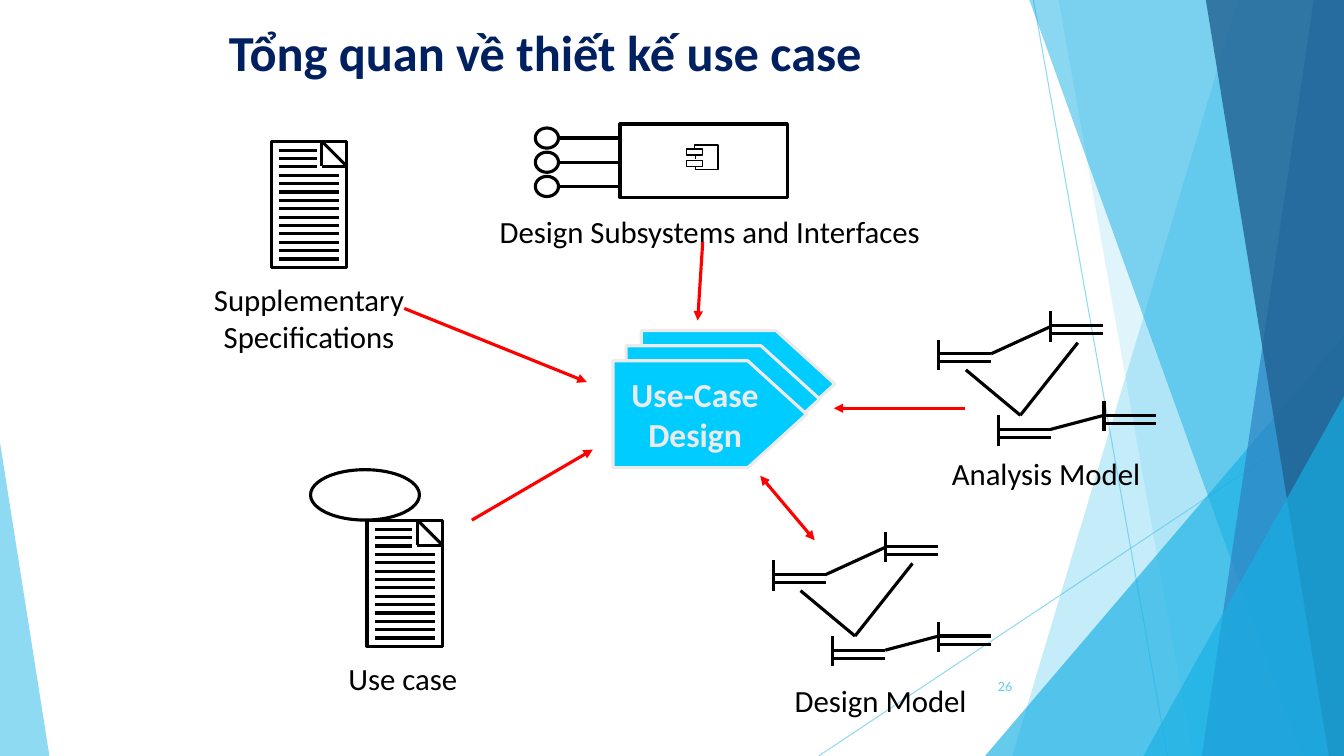
from lxml import etree
from pptx import Presentation
from pptx.dml.color import RGBColor
from pptx.enum.shapes import MSO_CONNECTOR, MSO_SHAPE
from pptx.enum.text import MSO_ANCHOR, PP_ALIGN
from pptx.oxml.ns import qn
from pptx.util import Inches, Pt

TITLE = "Tổng quan về thiết kế use case"
PAGE_NUMBER = "26"
BLACK, RED, SKY, CYAN, SILVER = "000000", "FF0000", "5FCBEF", "00CCFF", "EBEBEB"

# Backdrop: rays (from, to); facets (colour, opacity, corners);
# wedges (box, apex position, colour, opacity)
RAYS = [((10.25, 0), (11.58, 7.5)), ((13.33, 4.03), (8.12, 7.5))]
FACETS_BELOW = [
    (SKY, 36, [(12.28, 0), (13.33, 0), (13.33, 7.5), (10.04, 7.5)]),
    (SKY, 20, [(10.5, 0), (13.33, 0), (13.33, 7.5), (11.83, 7.5)]),
]
LARGE_WEDGE = ((9.77, 3.33, 3.56, 4.17), 1, "17B0E4", 66)
FACETS_ABOVE = [
    ("17B0E4", 50, [(10.21, 0), (13.33, 0), (13.33, 7.5), (12.91, 7.5)]),
    ("2E83C3", 70, [(13.03, 0), (13.33, 0), (13.33, 7.5), (11.92, 7.5)]),
    ("226292", 80, [(11.96, 0), (13.33, 0), (13.33, 7.5), (13.18, 7.5)]),
]
SMALL_WEDGES = [
    ((11.34, 3.93, 1.99, 3.57), 1, "17B0E4", 66),
    ((0, 4.39, 0.49, 3.11), 0, SKY, 70),
]

DOCUMENTS = [(2.69, 1.4), (3.64, 5.16)]
MODELS = [(7.67, 5.28), (9.31, 3.09)]
MODEL_CLASSES = [(0, 0.28), (1.11, 0), (0.59, 1.03), (1.64, 0.89)]
MODEL_LINKS = [
    ((0.81, 1.03), (0.27, 0.58)),
    ((0.52, 0.42), (1.11, 0.15)),
    ((1.11, 1.17), (1.64, 1.03)),
    ((0.81, 1.03), (1.38, 0.31)),
]
DESIGN_STEPS = [(6.36, 3.28), (6.21, 3.43), (6.08, 3.58)]
DESIGN_LABEL = "Use-Case\nDesign"
LABELS = [
    ("Supplementary\nSpecifications", (2.01, 2.74, 2.11, 0.84)),
    ("Design Subsystems and Interfaces", (4.83, 2.06, 4.42, 0.47)),
    ("Use case", (2.99, 6.5, 2.01, 0.47)),
    ("Design Model", (7.77, 6.71, 1.93, 0.47)),
    ("Analysis Model", (9.33, 4.46, 2.09, 0.47)),
]
# from, to, arrowhead at both ends
ARROWS = [
    ((4.68, 5.16), (5.88, 4.46), False),
    ((4.01, 3.06), (5.82, 3.79), False),
    ((9.57, 4.05), (8.27, 4.05), False),
    ((6.97, 2.4), (6.92, 3.18), False),
    ((8.08, 5.36), (7.54, 4.72), True),
]


def rgb(color):
    return RGBColor.from_string(color)


def set_opacity(fill_parent, percent):
    color = fill_parent.find(qn("a:solidFill")).find(qn("a:srgbClr"))
    etree.SubElement(color, qn("a:alpha")).set("val", str(percent * 1000))


def paint(shape, fill=None, opacity=None, line=None, width=2.25):
    shape.shadow.inherit = False
    if fill:
        shape.fill.solid()
        shape.fill.fore_color.rgb = rgb(fill)
        if opacity:
            set_opacity(shape._element.spPr, opacity)
    else:
        shape.fill.background()
    if line:
        shape.line.color.rgb = rgb(line)
        shape.line.width = Pt(width)
    else:
        shape.line.fill.background()
    return shape


def add_preset(preset, box, **style):
    return paint(shapes.add_shape(preset, *map(Inches, box)), **style)


def add_outline(corners, close=True, **style):
    points = [(Inches(x), Inches(y)) for x, y in corners]
    builder = shapes.build_freeform(*points[0])
    builder.add_line_segments(points[1:], close=close)
    return paint(builder.convert_to_shape(), **style)


def add_line(start, end, color=BLACK, width=2.25, opacity=None, ends=()):
    line = shapes.add_connector(MSO_CONNECTOR.STRAIGHT, *map(Inches, (*start, *end)))
    line.line.color.rgb = rgb(color)
    line.line.width = Pt(width)
    properties = line._element.spPr
    outline = properties.find(qn("a:ln"))
    if opacity:
        set_opacity(outline, opacity)
    for end_tag in ends:
        etree.SubElement(outline, qn(end_tag)).set("type", "triangle")
    etree.SubElement(properties, qn("a:effectLst"))


def write(frame, text, size, color, font="Calibri", bold=False,
          align=PP_ALIGN.CENTER, anchor=MSO_ANCHOR.TOP, wrap=False):
    frame.text = text
    frame.word_wrap = wrap
    frame.vertical_anchor = anchor
    for paragraph in frame.paragraphs:
        paragraph.alignment = align
        for run in paragraph.runs:
            run.font.name = font
            run.font.size = Pt(size)
            run.font.bold = bold
            run.font.color.rgb = rgb(color)


def add_wedge(box, apex, color, opacity):
    wedge = add_preset(MSO_SHAPE.ISOSCELES_TRIANGLE, box, fill=color, opacity=opacity)
    wedge.adjustments[0] = apex


def add_backdrop():
    for start, end in RAYS:
        add_line(start, end, SKY, 0.75, 70)
    for color, opacity, corners in FACETS_BELOW:
        add_outline(corners, fill=color, opacity=opacity)
    add_wedge(*LARGE_WEDGE)
    for color, opacity, corners in FACETS_ABOVE:
        add_outline(corners, fill=color, opacity=opacity)
    for wedge in SMALL_WEDGES:
        add_wedge(*wedge)


def add_document(x, y):
    """Page with a folded corner, three short and eleven long text lines."""
    add_preset(MSO_SHAPE.RECTANGLE, (x, y, 0.75, 1.25), line=BLACK)
    fold_top, fold_inner, fold_outer = (x + 0.5, y), (x + 0.5, y + 0.25), (x + 0.75, y + 0.25)
    add_line(fold_top, fold_outer)
    add_line(fold_top, fold_inner)
    add_line(fold_outer, fold_inner)
    for row in range(14):
        row_y = y + 0.09 + row * 1.08 / 13
        add_line((x + 0.08, row_y), (x + (0.45 if row < 3 else 0.67), row_y))


def add_model(x, y):
    for dx, dy in MODEL_CLASSES:
        left, top = x + dx, y + dy
        add_line((left, top), (left, top + 0.3))
        for offset in (0.22, 0.14):
            add_line((left, top + offset), (left + 0.52, top + offset))
    for (x1, y1), (x2, y2) in MODEL_LINKS:
        add_line((x + x1, y + y1), (x + x2, y + y2))


def add_subsystem():
    add_preset(MSO_SHAPE.RECTANGLE, (6.15, 1.23, 1.66, 0.73), line=BLACK)
    for interface_y in (1.37, 1.61, 1.85):
        add_preset(MSO_SHAPE.OVAL, (5.31, interface_y - 0.1, 0.23, 0.2), line=BLACK)
        add_line((5.54, interface_y), (6.15, interface_y))
    for port_y in (1.48, 1.59):
        add_preset(MSO_SHAPE.RECTANGLE, (6.81, port_y, 0.16, 0.06), line=BLACK, width=1)
    component = [(6.89, 1.48), (6.89, 1.44), (7.12, 1.44), (7.12, 1.68), (6.9, 1.68), (6.9, 1.65)]
    add_outline(component, close=False, line=BLACK, width=1)
    add_line((6.9, 1.55), (6.9, 1.58), width=1)


presentation = Presentation()
presentation.slide_width, presentation.slide_height = Inches(13.33), Inches(7.5)
slide = presentation.slides.add_slide(presentation.slide_layouts[5])
shapes = slide.shapes

title = shapes.title
title.left, title.top, title.width, title.height = map(Inches, (2.17, 0.16, 9, 0.86))
write(title.text_frame, TITLE, 36, "002060", bold=True, align=PP_ALIGN.LEFT, wrap=True)

add_backdrop()
for position in DOCUMENTS:
    add_document(*position)
add_preset(MSO_SHAPE.OVAL, (3.08, 4.66, 1.08, 0.5), line=BLACK)
for left, top in DESIGN_STEPS:
    step = add_preset(MSO_SHAPE.PENTAGON, (left, top, 1.92, 1.06), fill=CYAN, line=SILVER)
    step.adjustments[0] = 0.55
write(step.text_frame, DESIGN_LABEL, 24, SILVER, bold=True, anchor=MSO_ANCHOR.MIDDLE)
add_subsystem()
for position in MODELS:
    add_model(*position)
for label, box in LABELS:
    write(shapes.add_textbox(*map(Inches, box)).text_frame, label, 22, BLACK)
for start, end, both_ends in ARROWS:
    add_line(start, end, RED, ends=("a:headEnd", "a:tailEnd") if both_ends else ("a:tailEnd",))
page = shapes.add_textbox(*map(Inches, (9.39, 6.61, 0.75, 0.4)))
write(page.text_frame, PAGE_NUMBER, 9, SKY, font="Lato", align=PP_ALIGN.RIGHT,
      anchor=MSO_ANCHOR.MIDDLE, wrap=True)

presentation.save("out.pptx")
